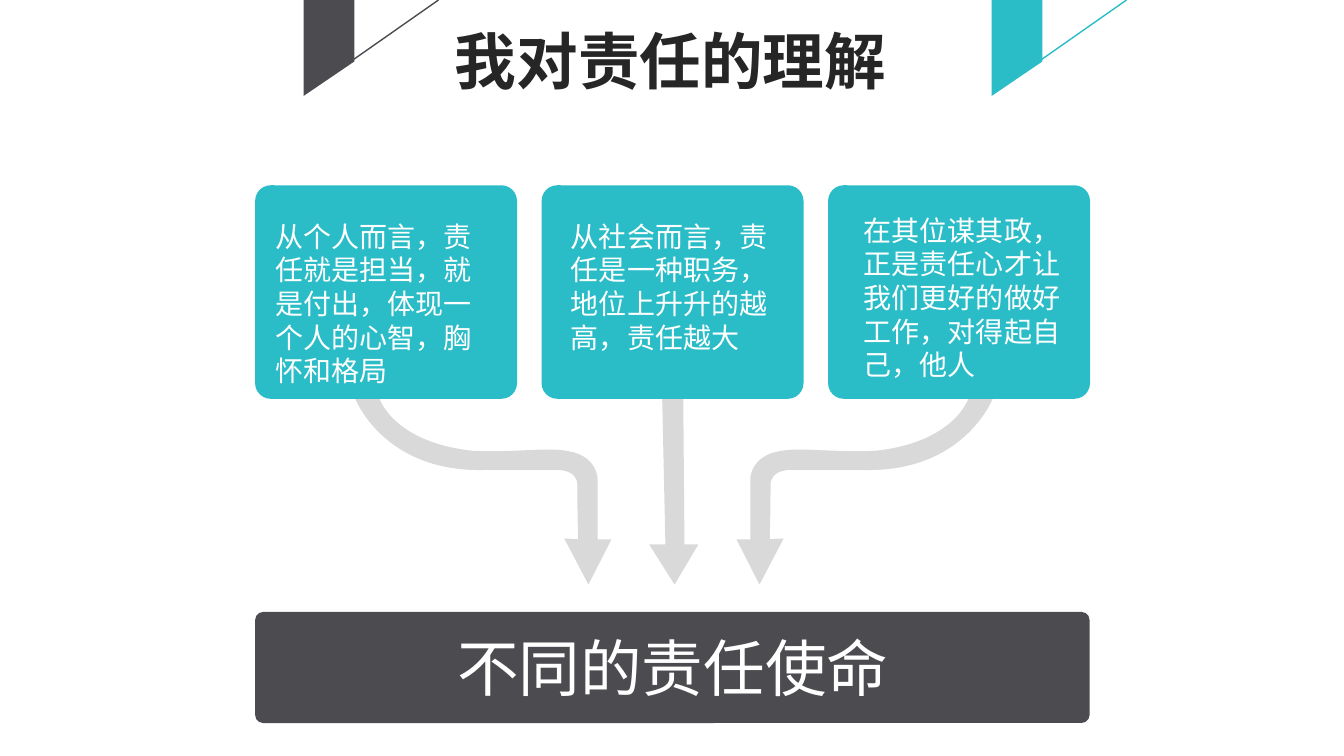
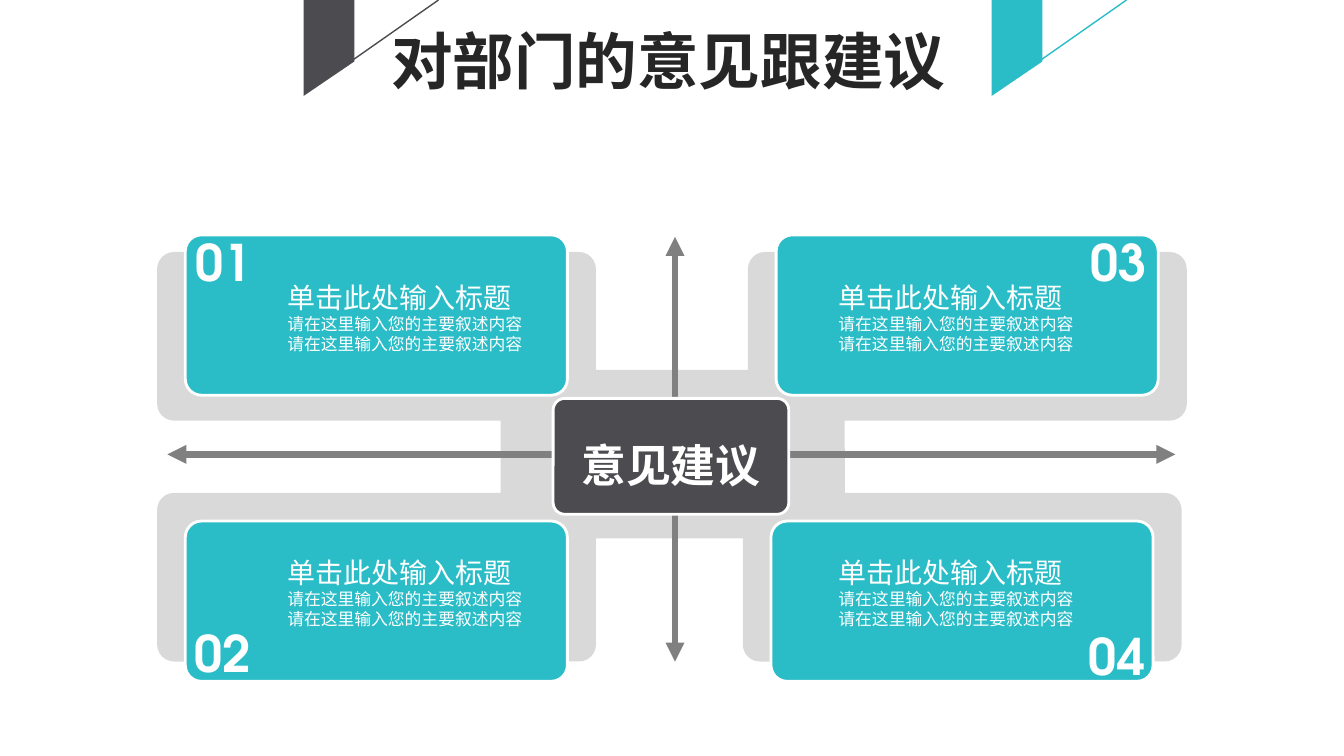
from dataclasses import dataclass

from lxml import etree
from pptx import Presentation
from pptx.dml.color import RGBColor
from pptx.enum.shapes import MSO_CONNECTOR, MSO_SHAPE
from pptx.enum.text import MSO_ANCHOR, MSO_AUTO_SIZE, PP_ALIGN
from pptx.oxml.ns import qn
from pptx.util import Cm, Pt

ROUND = MSO_SHAPE.ROUNDED_RECTANGLE
STRAIGHT = MSO_CONNECTOR.STRAIGHT
LEFT, CENTER = PP_ALIGN.LEFT, PP_ALIGN.CENTER
TOP, MIDDLE = MSO_ANCHOR.TOP, MSO_ANCHOR.MIDDLE
NO_FIT, GROW = MSO_AUTO_SIZE.NONE, MSO_AUTO_SIZE.SHAPE_TO_FIT_TEXT


@dataclass(frozen=True)
class Theme:
    teal: str = "2ABDC7"
    dark: str = "4C4B50"
    pale: str = "D9D9D9"
    grey: str = "808080"
    ink: str = "262626"
    white: str = "FFFFFF"
    cjk: str = "Noto Sans CJK SC"
    latin: str = "Calibri"
    display: str = "TeX Gyre Adventor"
    title: int = 44
    number: int = 36
    hub: int = 32
    body: int = 20
    small: int = 12


T = Theme()
INSETS = (Pt(7.2), Pt(3.6))

CURVED_ARROW = [
    (0, 0),
    (0, 0, 0.74, 1.9, 3.35, 1.78),
    (4.19, 1.78, 5.05, 1.78, 5.05, 1.78),
    (5.05, 1.78, 5.61, 1.75, 5.59, 2.18),
    (5.59, 2.84, 5.61, 3.53, 5.61, 3.53),
    (5.26, 3.51), (5.87, 4.67), (6.45, 3.53), (6.1, 3.53),
    (6.1, 3.53, 6.1, 2.74, 6.1, 1.98),
    (6.02, 1.4, 5.41, 1.32, 5.41, 1.32),
    (4.88, 1.19, 4.14, 1.35, 2.95, 1.3),
    (0.97, 1.09, 0.61, 0, 0.61, 0),
]
MIRRORED_ARROW = [tuple(v if i % 2 else 6.45 - v for i, v in enumerate(seg))
                  for seg in CURVED_ARROW]
STRAIGHT_ARROW = [(0.33, 0), (0.41, 3.66), (0, 3.66), (0.64, 4.67),
                  (1.24, 3.66), (0.89, 3.66), (0.86, 0)]

DUTIES = [
    ("从个人而言，责任就是担当，就是付出，体现一个人的心智，胸怀和格局", 0.27, 0.73),
    ("从社会而言，责任是一种职务，地位上升升的越高，责任越大", 0.49, 0.73),
    ("在其位谋其政，正是责任心才让我们更好的做好工作，对得起自己，他人", 0.65, 0.58),
]

DETAIL = "请在这里输入您的主要叙述内容"
SUGGESTION = [("单击此处输入标题", T.body), (DETAIL, T.small), (DETAIL, T.small)]
PANELS = [
    (3.96, 6.35, "01", (-0.42, 0.23), (2.57, 1.14)),
    (18.85, 6.35, "03", (7.24, 0.23), (1.57, 1.14)),
    (3.96, 12.42, "02", (-0.45, 2.88), (2.57, 0.86)),
    (18.72, 12.42, "04", (7.34, 2.95), (1.7, 0.86)),
]


def rgb(value):
    return RGBColor.from_string(value)


def write(tf, lines, font=T.cjk, color=T.white, bold=False, align=LEFT,
          anchor=TOP, insets=INSETS, spacing=None, wrap=True, fit=NO_FIT):
    tf.word_wrap = wrap
    tf.auto_size = fit
    tf.vertical_anchor = anchor
    tf.margin_left = tf.margin_right = insets[0]
    tf.margin_top = tf.margin_bottom = insets[1]
    for i, (text, size) in enumerate(lines):
        p = tf.add_paragraph() if i else tf.paragraphs[0]
        p.alignment = align
        p.line_spacing = spacing
        r = p.add_run()
        r.text = text
        r.font.size = Pt(size)
        r.font.bold = bold
        r.font.name = font
        r.font.color.rgb = rgb(color)
        ea = etree.SubElement(r.font._element, qn("a:ea"))
        ea.set("typeface", font)


def text_box(shapes, x, y, w, h, lines, **style):
    sp = shapes.add_textbox(Cm(x), Cm(y), Cm(w), Cm(h))
    write(sp.text_frame, lines, **style)


def paint(sp, fill, border=None):
    sp.shadow.inherit = False
    sp.fill.solid()
    sp.fill.fore_color.rgb = rgb(fill)
    if border:
        sp.line.color.rgb = rgb(border)
        sp.line.width = Pt(2)
    else:
        sp.line.fill.background()


def rounded(shapes, x, y, w, h, fill, radius, border=None):
    sp = shapes.add_shape(ROUND, Cm(x), Cm(y), Cm(w), Cm(h))
    sp.adjustments[0] = radius
    paint(sp, fill, border)
    return sp


def line(shapes, x1, y1, x2, y2, color, width, arrows=False):
    cx = shapes.add_connector(STRAIGHT, Cm(x1), Cm(y1), Cm(x2), Cm(y2))
    cx.line.color.rgb = rgb(color)
    cx.line.width = Pt(width)
    sppr = cx._element.spPr
    if arrows:
        for end in ("a:headEnd", "a:tailEnd"):
            etree.SubElement(sppr.find(qn("a:ln")), qn(end)).set("type", "triangle")
    etree.SubElement(sppr, qn("a:effectLst"))


def outline(shapes, x, y, segments, fill):
    places = [(Cm(x + seg[i]), Cm(y + seg[i + 1]))
              for seg in segments for i in range(0, len(seg), 2)]
    builder = shapes.build_freeform(*places[0])
    builder.add_line_segments(places[1:], close=True)
    sp = builder.convert_to_shape()
    straights = iter(list(sp._element.iter(qn("a:lnTo"))))
    for seg in segments[1:]:
        first = next(straights)
        if len(seg) == 6:
            curve = etree.Element(qn("a:cubicBezTo"))
            first.addprevious(curve)
            for node in (first, next(straights), next(straights)):
                curve.append(node[0])
                node.getparent().remove(node)
    paint(sp, fill)


def title_band(s, title, x, w):
    for left, color in ((7.65, T.dark), (24.99, T.teal)):
        outline(s.shapes, left, 0, [(0, 0), (1.28, 0), (1.28, 1.55), (0, 2.42)], color)
        line(s.shapes, left + 0.83, 1.8, left + 3.4, 0, color, 1)
    sp = s.shapes.title
    sp.left, sp.top, sp.width, sp.height = Cm(x), Cm(0.44), Cm(w), Cm(2.14)
    write(sp.text_frame, [(title, T.title)], color=T.ink, bold=True,
          wrap=False, fit=GROW)


def new_slide(prs, title, x, w):
    s = prs.slides.add_slide(prs.slide_layouts[5])
    title_band(s, title, x, w)
    return s


def duty_card(s, x, y, text, dx, dy):
    shapes = s.shapes.add_group_shape().shapes
    rounded(shapes, x, y, 6.6, 5.38, T.teal, 0.073)
    text_box(shapes, x + dx, y + dy, 6.12, 4.5, [(text, T.body)])


def mission_bar(s, x, y, w, h):
    shapes = s.shapes.add_group_shape().shapes
    rounded(shapes, x, y, w, h, T.dark, 0.073)
    text_box(shapes, x + 4.03, y + 0.32, 13, 2.14, [("不同的责任使命", T.title)],
             font=T.latin, align=CENTER)


def duty_slide(prs):
    s = new_slide(prs, "我对责任的理解", 11.21, 11.51)
    arrows = ((8.96, CURVED_ARROW), (16.36, STRAIGHT_ARROW), (18.56, MIRRORED_ARROW))
    for x, segments in arrows:
        outline(s.shapes, x, 10.06, segments, T.pale)
    for i, (text, dx, dy) in enumerate(DUTIES):
        duty_card(s, 6.43 + 7.22 * i, 4.67, text, dx, dy)
    mission_bar(s, 6.43, 15.42, 21.03, 2.8)


def hub(s, x, y, w, h):
    sp = rounded(s.shapes, x, y, w, h, T.dark, 0.101, T.white)
    write(sp.text_frame, [("意见建议", T.hub)], font=T.display, bold=True,
          align=CENTER, anchor=MIDDLE, spacing=1.3)


def suggestion_card(s, x, y, number, number_at, text_at):
    shapes = s.shapes.add_group_shape().shapes
    rounded(shapes, x, y, 9.63, 4.04, T.teal, 0.101, T.white)
    text_box(shapes, x + number_at[0], y + number_at[1], 2.77, 1.14,
             [(number, T.number)], font=T.display, bold=True, align=CENTER,
             anchor=MIDDLE, insets=(0, 0), spacing=0.8)
    text_box(shapes, x + text_at[0], y + text_at[1], 7.34, 3.25,
             SUGGESTION, insets=(0, 0))


def suggestion_slide(prs):
    s = new_slide(prs, "对部门的意见跟建议", 9.6, 14.66)
    backdrop = s.shapes.add_group_shape().shapes
    rounded(backdrop, 12.62, 9.32, 8.67, 4.25, T.pale, 0.101)
    for x, y, *_ in PANELS:
        rounded(backdrop, x, y, 11.06, 4.25, T.pale, 0.101)
    line(s.shapes, 4.22, 11.45, 29.62, 11.45, T.grey, 4.5, arrows=True)
    line(s.shapes, 17.01, 5.97, 17.01, 16.67, T.grey, 4.5, arrows=True)
    hub(s, 13.94, 10.04, 5.94, 2.92)
    for x, y, number, number_at, text_at in PANELS:
        rise = -0.43 if y < 11.45 else 0.71
        suggestion_card(s, x + 0.71, y + rise, number, number_at, text_at)


def main():
    prs = Presentation()
    prs.slide_width, prs.slide_height = Cm(33.87), Cm(19.05)
    duty_slide(prs)
    suggestion_slide(prs)
    prs.save("out.pptx")


if __name__ == "__main__":
    main()
